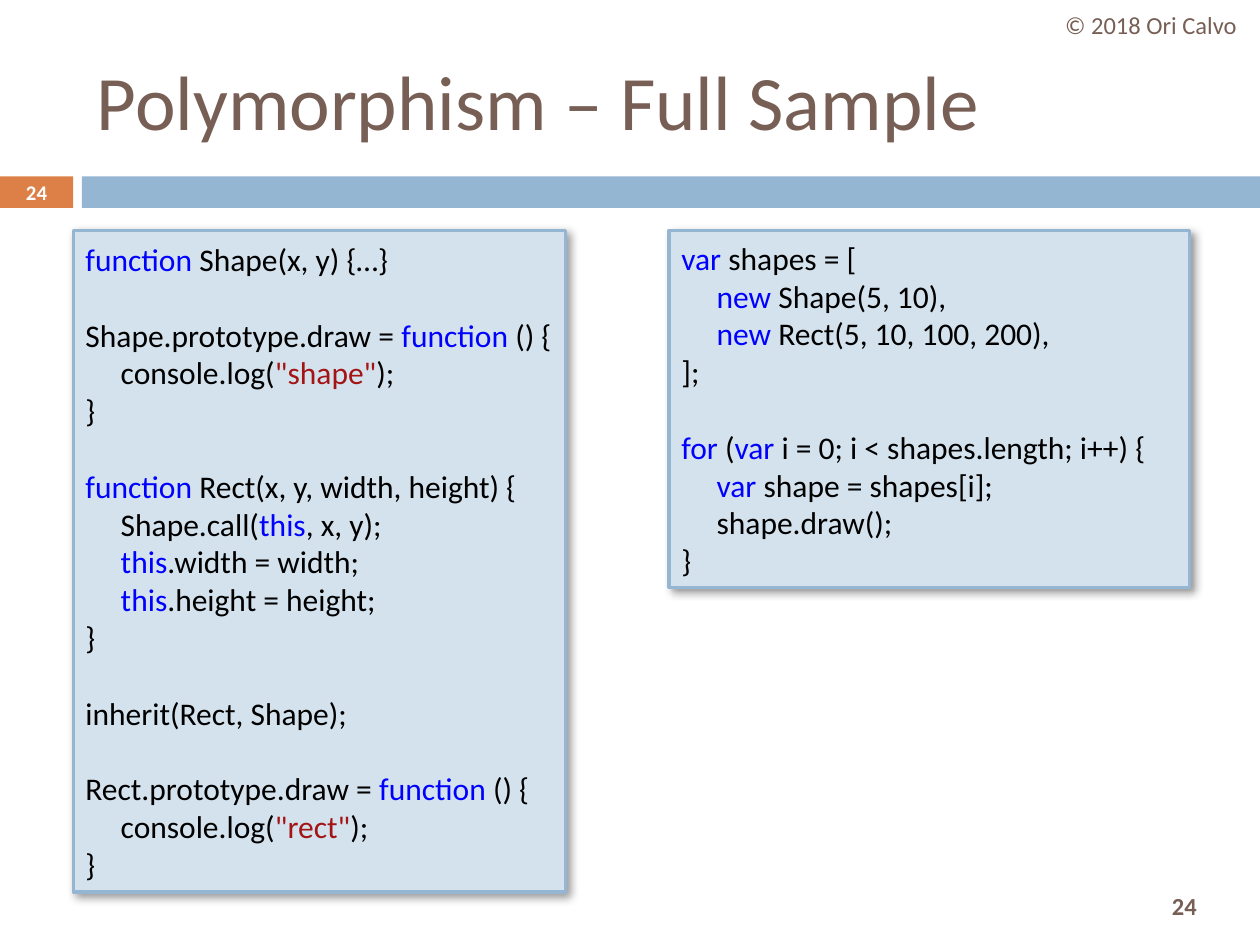
from dataclasses import dataclass
from lxml import etree
from pptx import Presentation
from pptx.dml.color import RGBColor
from pptx.enum.shapes import MSO_SHAPE
from pptx.enum.text import MSO_ANCHOR, MSO_AUTO_SIZE, PP_ALIGN
from pptx.oxml.ns import qn
from pptx.util import Inches, Pt

RECT = MSO_SHAPE.RECTANGLE
MIDDLE = MSO_ANCHOR.MIDDLE
GROW = MSO_AUTO_SIZE.SHAPE_TO_FIT_TEXT
LEFT, CENTER = PP_ALIGN.LEFT, PP_ALIGN.CENTER


@dataclass(frozen=True)
class Theme:
    font: str = "Calibri"
    brown: str = "775F55"
    orange: str = "DD8047"
    blue: str = "94B6D2"
    panel: str = "D4E2ED"
    white: str = "FFFFFF"
    black: str = "000000"
    keyword: str = "0000FF"
    string: str = "A31515"
    title_size: float = 44
    code_size: float = 18
    code_line: float = 21.6
    small_size: float = 14
    badge_size: float = 11.9


T = Theme()

# Backticks enclose coloured tokens; a leading tab indents the line.
CLASSES_CODE = """`function` Shape(x, y) {…}

Shape.prototype.draw = `function` () {
\tconsole.log(`"shape"`);
}

`function` Rect(x, y, width, height) {
\tShape.call(`this`, x, y);
\t`this`.width = width;
\t`this`.height = height;
}

inherit(Rect, Shape);

Rect.prototype.draw = `function` () {
\tconsole.log(`"rect"`);
}"""

USAGE_CODE = """`var` shapes = [
\t`new` Shape(5, 10),
\t`new` Rect(5, 10, 100, 200),
];

`for` (`var` i = 0; i < shapes.length; i++) {
\t`var` shape = shapes[i];
\tshape.draw();
}"""


def add_run(p, text, size, color, bold=False):
    r = p.add_run()
    r.text = text
    for name, value in {"name": T.font, "size": Pt(size), "bold": bold}.items():
        setattr(r.font, name, value)
    r.font.color.rgb = RGBColor.from_string(color)


def format_frame(tf, **settings):
    for name, value in {"vertical_anchor": MIDDLE, "word_wrap": True,
                        **settings}.items():
        setattr(tf, name, value)


def add_label(slide, box, text, size, color, align=CENTER, bold=False,
              **settings):
    tf = slide.shapes.add_textbox(*map(Inches, box)).text_frame
    format_frame(tf, **settings)
    p = tf.paragraphs[0]
    p.alignment = align
    add_run(p, text, size, color, bold)


def add_box(slide, box, fill, line=None):
    sp = slide.shapes.add_shape(RECT, *map(Inches, box))
    sp.shadow.inherit = False
    sp.fill.solid()
    sp.fill.fore_color.rgb = RGBColor.from_string(fill)
    if line:
        sp.line.color.rgb = RGBColor.from_string(line)
        sp.line.width = Pt(1.75)
    else:
        sp.line.fill.background()
    return sp


def add_shadow(sp):
    effects = sp._element.spPr.find(qn("a:effectLst"))
    shadow = etree.SubElement(effects, qn("a:outerShdw"), blurRad=str(Pt(5)),
                              dist=str(Pt(2.9)), dir=str(45 * 60000),
                              algn="tl", rotWithShape="0")
    color = etree.SubElement(shadow, qn("a:srgbClr"), val=T.black)
    etree.SubElement(color, qn("a:alpha"), val="40000")


def add_code_panel(slide, box, code):
    sp = add_box(slide, box, T.panel, T.blue)
    add_shadow(sp)
    tf = sp.text_frame
    format_frame(tf, word_wrap=False, auto_size=GROW)
    gap, p = 0, None
    for line in code.split("\n"):
        if not line:
            gap = T.code_line  # an empty code line becomes paragraph spacing
            continue
        p = tf.add_paragraph() if p else tf.paragraphs[0]
        p.alignment = LEFT
        p.space_before, gap = Pt(gap), 0
        if line.startswith("\t"):
            p._p.get_or_add_pPr().set("marL", str(Inches(0.28)))
        for i, token in enumerate(line.strip().split("`")):
            color = T.black
            if i % 2:
                color = T.string if token.startswith('"') else T.keyword
            if token:
                add_run(p, token, T.code_size, color)


def add_header(slide, box, title, number):
    left, top, width, height = box
    badge_w, gap, band_y, band_h = 0.58, 0.07, top + 1.4, 0.25
    # Number badge and band
    add_box(slide, (left, band_y, badge_w, band_h), T.orange)
    band_x = left + badge_w + gap
    add_box(slide, (band_x, band_y, width - badge_w - gap, band_h), T.blue)
    add_label(slide, (left, band_y - 0.01, badge_w, band_h + 0.02), number,
              T.badge_size, T.white, bold=True, margin_top=0, margin_bottom=0)
    # Title and copyright
    add_label(slide, (left + 0.67, top + 0.25, 8.92, 1.08), title,
              T.title_size, T.brown, LEFT)
    add_label(slide, (left + width - 1.73, top, 1.73, 0.4),
              "© 2018 Ori Calvo", T.small_size, T.brown)


def build_slide(prs):
    slide = prs.slides.add_slide(prs.slide_layouts[6])
    number = "24"
    add_header(slide, (0, 0, 10, 1.65), "Polymorphism – Full Sample", number)
    # Code panels
    add_code_panel(slide, (0.58, 1.83, 3.91, 5.25), CLASSES_CODE)
    add_code_panel(slide, (5.31, 1.83, 4.13, 2.83), USAGE_CODE)
    # Footer number
    add_label(slide, (8.94, 6.98, 0.92, 0.42), number, T.small_size, T.brown,
              bold=True)


prs = Presentation()
prs.slide_width, prs.slide_height = Inches(10), Inches(7.5)
build_slide(prs)
prs.save("out.pptx")
